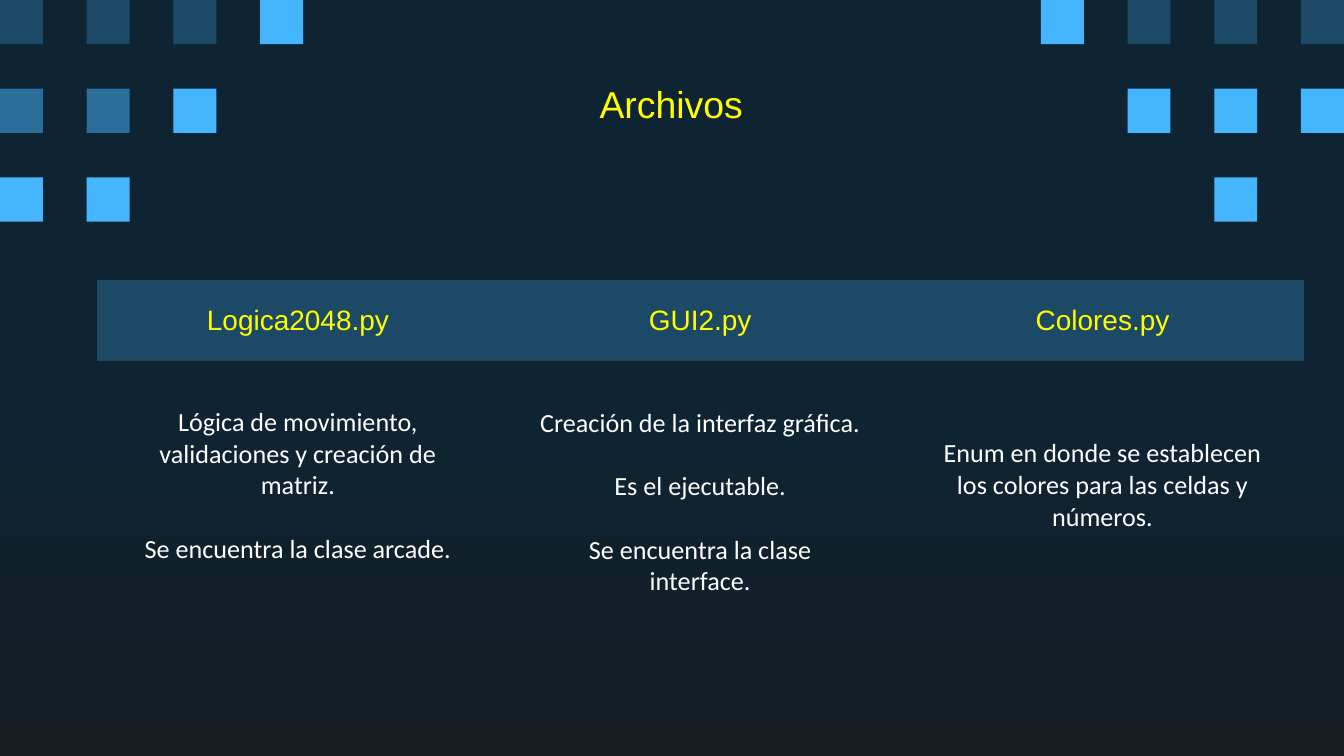
from pptx import Presentation
from pptx.dml.color import RGBColor
from pptx.enum import shapes, text
from pptx.oxml.ns import qn
from pptx.util import Inches, Pt

# Content
TITLE = "Archivos"
FILES = [
    ("Logica2048.py", ["Lógica de movimiento, validaciones y creación de matriz.",
                       "Se encuentra la clase arcade."]),
    ("GUI2.py", ["Creación de la interfaz gráfica.",
                 "Es el ejecutable.",
                 "Se encuentra la clase interface."]),
    ("Colores.py", ["Enum en donde se establecen los colores para las celdas y números."]),
]

# Decoration: one letter per grid place, a dot where it is empty
SQUARES = ["DDDL........LDDD",
           "MML..........LLL",
           "LL............L."]
BLUES = {"D": "1C4966", "M": "296D98", "L": "45B6FE"}
SQUARE_W, SQUARE_H = 0.32, 0.33
PITCH_X, PITCH_Y = 9.68 / 15, 0.66

YELLOW, WHITE, NAVY, NIGHT = "FFFF00", "FFFFFF", "0E2433", "141C21"
SLIDE_W = 10
TABLE_W = 8.98
ROW_HEIGHTS = [0.61, 1.85, 0.76]
LINE = 17  # points, one line of body text
NO_STYLE = "{2D5ABB26-0587-4C30-8999-92F81FD0307C}"


def color(value):
    return RGBColor.from_string(value)


def paint(fill, value):
    fill.solid()
    fill.fore_color.rgb = color(value)


def set_margins(part, side=0.1, top=0.1):
    part.margin_left = part.margin_right = Inches(side)
    part.margin_top, part.margin_bottom = Inches(top), Inches(0.1)
    part.vertical_anchor = text.MSO_ANCHOR.MIDDLE


def write(frame, lines, size, font, ink, first_gap=0, gap=0):
    for index, line in enumerate(lines):
        para = frame.add_paragraph() if index else frame.paragraphs[0]
        para.alignment = text.PP_ALIGN.CENTER
        para.space_before = Pt(gap if index else first_gap)
        span = para.add_run()
        span.text = line
        span.font.size, span.font.name = Pt(size), font
        span.font.color.rgb = color(ink)


# Widescreen page, 16 by 9
deck = Presentation()
deck.slide_width, deck.slide_height = Inches(SLIDE_W), Inches(SLIDE_W * 9 / 16)
page = deck.slides.add_slide(deck.slide_layouts[6])

# Background, darkening towards the bottom
backdrop = page.background.fill
backdrop.gradient()
backdrop.gradient_angle = 270
for stop, place, shade in zip(backdrop.gradient_stops, (0.56, 1), (NAVY, NIGHT)):
    stop.position = place
    stop.color.rgb = color(shade)

# Corner squares
for row, pattern in enumerate(SQUARES):
    for column, letter in enumerate(pattern):
        if letter in BLUES:
            square = page.shapes.add_shape(
                shapes.MSO_SHAPE.RECTANGLE, Inches(column * PITCH_X), Inches(row * PITCH_Y),
                Inches(SQUARE_W), Inches(SQUARE_H))
            square.shadow.inherit = False
            square.line.fill.background()
            paint(square.fill, BLUES[letter])

# Title
title = page.shapes.add_textbox(Inches(0.78), Inches(0.59), Inches(8.43), Inches(0.36))
title.text_frame.word_wrap = True
set_margins(title.text_frame)
write(title.text_frame, [TITLE], 20, "Arial", YELLOW)

# Table of files
holder = page.shapes.add_table(len(ROW_HEIGHTS), len(FILES), Inches(0.72), Inches(2.08),
                               Inches(TABLE_W), Inches(sum(ROW_HEIGHTS)))
holder.element.find(".//" + qn("a:tableStyleId")).text = NO_STYLE
table = holder.table
table.first_row = table.horz_banding = False
for row, height in zip(table.rows, ROW_HEIGHTS):
    row.height = Inches(height)
for index, (name, notes) in enumerate(FILES):
    table.columns[index].width = Inches(TABLE_W / len(FILES))
    head, body, foot = (table.cell(row, index) for row in range(len(ROW_HEIGHTS)))
    paint(head.fill, BLUES["D"])
    set_margins(head)
    write(head.text_frame, [name], 15, "Arial", YELLOW, first_gap=6.5)
    body.fill.background()
    # The longest list starts one line lower
    set_margins(body, side=0.3, top=0.34 if len(notes) == 3 else 0.1)
    write(body.text_frame, notes, 14, "Calibri", WHITE, gap=LINE)
    foot.fill.background()

deck.save("out.pptx")
